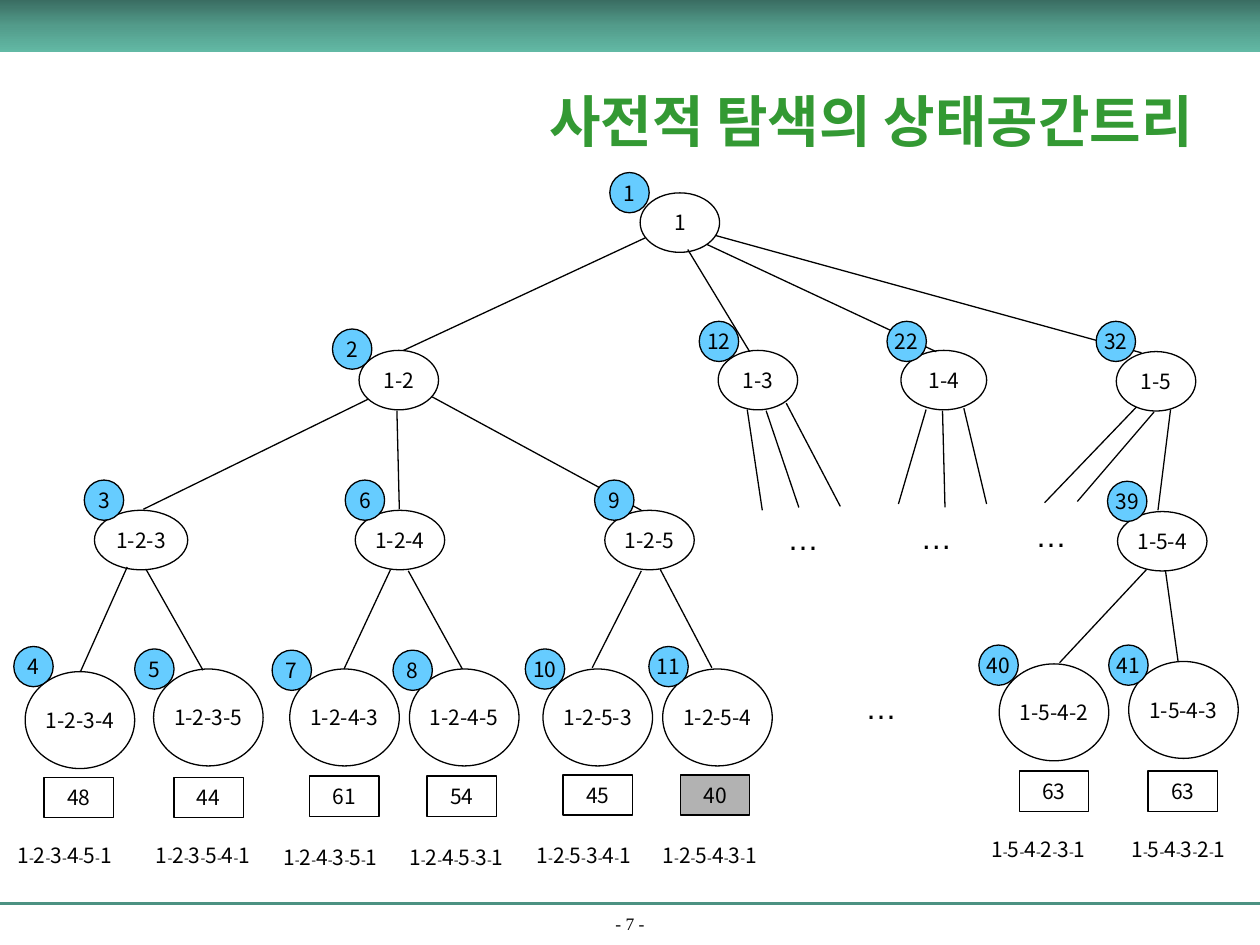
"""Build a slide with the state space tree of a lexicographic search."""
import copy
import pptx
import pptx.util
import pptx.oxml.ns
import lxml.etree
from pptx.dml.color import RGBColor
from pptx.enum.shapes import MSO_CONNECTOR, MSO_SHAPE
from pptx.enum.text import MSO_ANCHOR, PP_ALIGN

Pt = pptx.util.Pt
qn = pptx.oxml.ns.qn
BLACK = RGBColor(0x00, 0x00, 0x00)
WHITE = RGBColor(0xFF, 0xFF, 0xFF)
GREEN = RGBColor(0x33, 0x99, 0x33)
TEAL = RGBColor(0x4C, 0x92, 0x82)
BLUE = RGBColor(0x66, 0xCC, 0xFF)
GRAY = RGBColor(0xB2, 0xB2, 0xB2)
BANDS = (RGBColor(0x3A, 0x6D, 0x62), RGBColor(0x53, 0x9C, 0x8B), RGBColor(0x62, 0xB9, 0xA5))
SANS = "Noto Sans CJK KR"
SERIF = "Times New Roman"

deck = pptx.Presentation()
deck.slide_width, deck.slide_height = Pt(720), Pt(540)
slide = deck.slides.add_slide(deck.slide_layouts[5])
shapes = slide.shapes


def write(shape, text, size=12, font=SANS, color=BLACK, bold=False, dash=None,
          align=PP_ALIGN.CENTER, anchor=MSO_ANCHOR.MIDDLE, wrap=True):
    frame = shape.text_frame
    frame.word_wrap = wrap
    frame.vertical_anchor = anchor
    para = frame.paragraphs[0]
    para.alignment = align
    for part in text if dash else [text]:
        run = para.add_run()
        run.text = part
        run.font.size = Pt(dash if dash and part == "-" else size)
        run.font.name = font
        run.font.bold = bold
        run.font.color.rgb = color
        east = lxml.etree.SubElement(run.font._element, qn("a:ea"))
        east.set("typeface", SANS)


def draw(kind, text, x, y, w, h, fill=None):
    shape = shapes.add_shape(kind, Pt(x), Pt(y), Pt(w), Pt(h))
    shape.shadow.inherit = False
    if fill is None:
        shape.fill.background()
    else:
        shape.fill.solid()
        shape.fill.fore_color.rgb = fill
    shape.line.color.rgb = BLACK
    shape.line.width = Pt(0.75)
    write(shape, text, wrap=False)


band = shapes.add_shape(MSO_SHAPE.RECTANGLE, 0, 0, Pt(720), Pt(30))
band.shadow.inherit = False
band.line.fill.background()
band.fill.gradient()
band.fill.gradient_angle = 270
stops = band._element.spPr.find(".//" + qn("a:gsLst"))
stops.insert(1, copy.deepcopy(stops[0]))
for stop, color, place in zip(band.fill.gradient_stops, BANDS, (0, 0.5, 1)):
    stop.color.rgb = color
    stop.position = place

title = shapes.title
title.left, title.top, title.width, title.height = Pt(283), Pt(30), Pt(437), Pt(77)
write(title, "사전적 탐색의 상태공간트리 ", size=32, font=SERIF, color=GREEN, bold=True)

foot = shapes.add_textbox(0, Pt(521.3), Pt(720), Pt(15.8))
write(foot, "- 7 -", size=10, font=SERIF, anchor=MSO_ANCHOR.BOTTOM)

edges = [
    (368.6, 136, 229, 201), (393, 142.6, 428.4, 201),
    (404, 139.7, 535, 201), (409, 134.6, 652.3, 201.6),
    (226.8, 234.7, 228.2, 291), (210.2, 228.2, 82, 291), (247, 226.8, 366.5, 291.6),
    (437.8, 234.7, 456.5, 290), (427, 234, 435.6, 291.6), (449.3, 230.4, 480.2, 289.4),
    (538.6, 234.7, 540, 290), (529.2, 234, 513.4, 288), (550.8, 233.3, 563.8, 288),
    (659.5, 235.4, 615.6, 286.6), (649.4, 232.6, 596.9, 287.3), (668.9, 234, 661.7, 291.6),
    (72.7, 324, 46, 383.8), (83.5, 325.4, 116, 383),
    (223.2, 325.4, 196.6, 382.3), (233.3, 326.2, 264.2, 382.3),
    (366.5, 326.2, 338.4, 381.6), (377.3, 325.4, 406.8, 381.6),
    (655.2, 325.4, 605.5, 378.7), (666, 326.2, 673.2, 378),
]
rule = (0, 516.2, 720, 516.2)
for ends in [rule] + edges:
    edge = shapes.add_connector(MSO_CONNECTOR.STRAIGHT, *map(Pt, ends))
    edge.line.color.rgb = TEAL if ends == rule else BLACK
    edge.line.width = Pt(1.5 if ends == rule else 0.75)
    lxml.etree.SubElement(edge._element.spPr, qn("a:effectLst"))

nodes = [
    ("1", 365.8, 110.2, 45.4, 1, 348.5, 98.6),
    ("1-2", 205.2, 200.2, 45.4, 2, 190, 188),
    ("1-3", 410.4, 200.2, 45.4, 12, 399.6, 183.6),
    ("1-4", 514.8, 200.2, 49, 22, 506.9, 183.6),
    ("1-5", 637.9, 200.9, 45.4, 32, 626.4, 183.6),
    ("1-2-3", 54, 291.6, 53.3, 3, 48.2, 274.3),
    ("1-2-4", 203, 291.6, 51.1, 6, 197.3, 274.3),
    ("1-2-5", 345.6, 291.6, 51.1, 9, 339.8, 274.3),
    ("1-5-4", 638.6, 292.3, 51.1, 39, 632.9, 275),
]
for name, x, y, w, step, left, top in nodes:
    draw(MSO_SHAPE.OVAL, name, x, y, w, 34, WHITE if name == "1-2" else None)
    draw(MSO_SHAPE.OVAL, str(step), left, top, 22.5, 23, BLUE)

leaves = [
    ("1-2-3-4", 14.4, 383.8, 4, 7.9, 369.4, 48, 25.2, 444.2, 2.9, 478),
    ("1-2-3-5", 87.8, 382.3, 5, 77, 370.8, 44, 99.4, 444.2, 82, 478),
    ("1-2-4-3", 165.6, 382.3, 7, 155.5, 371.5, 61, 177, 443.5, 154.8, 478.8),
    ("1-2-4-5", 234, 382.3, 8, 224.6, 371.5, 54, 244, 443.5, 226.8, 478.8),
    ("1-2-5-3", 310.3, 382.3, 10, 300.2, 370.8, 45, 321.8, 442.8, 299.5, 478),
    ("1-2-5-4", 378.7, 382.3, 11, 370.8, 369.4, 40, 388.8, 442.8, 371.5, 478),
    ("1-5-4-2", 571, 379.4, 40, 559.4, 368.6, 63, 582.5, 440.6, 559.4, 474.5),
    ("1-5-4-3", 645, 378, 41, 633.6, 368.6, 63, 656, 440.6, 639.4, 474.5),
]
for name, x, y, step, left, top, cost, boxx, boxy, tourx, toury in leaves:
    draw(MSO_SHAPE.OVAL, name, x, y, 62.6, 55.4)
    draw(MSO_SHAPE.OVAL, str(step), left, top, 22.5, 23, BLUE)
    draw(MSO_SHAPE.RECTANGLE, str(cost), boxx, boxy, 39.6, 23, GRAY if cost == 40 else None)
    last = next(city for city in "2345" if city not in name)
    tour = shapes.add_textbox(Pt(tourx), Pt(toury), Pt(80.6), Pt(21.6))
    write(tour, f"{name}-{last}-1", dash=8, align=PP_ALIGN.LEFT, anchor=MSO_ANCHOR.TOP)

for x, y in [(442.8, 293), (519, 292.3), (584.6, 291.6), (487.4, 389.5)]:
    dots = shapes.add_textbox(Pt(x), Pt(y), Pt(32.4), Pt(28.8))
    write(dots, "…", size=18, font="Arial", align=PP_ALIGN.LEFT, anchor=MSO_ANCHOR.TOP)

deck.save("out.pptx")
